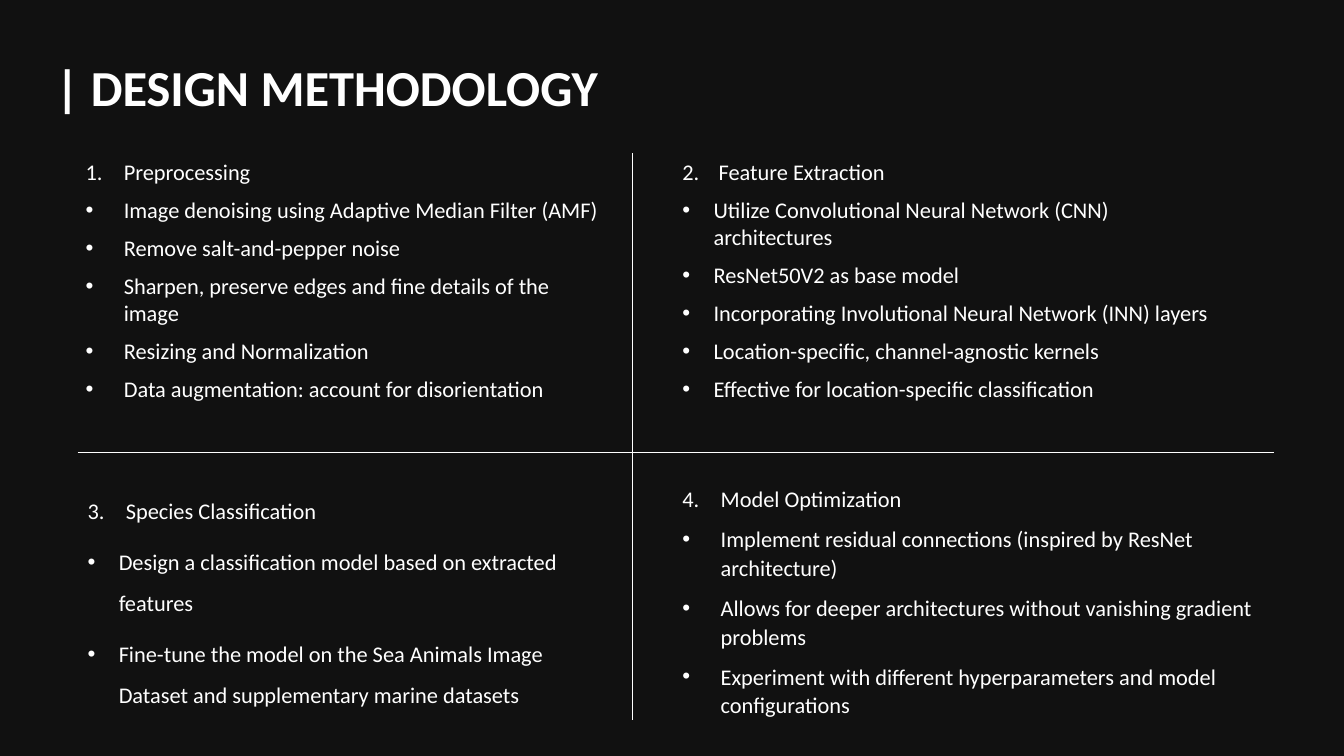
"""Build the design methodology slide: a title over four quadrants of numbered steps."""
from lxml.etree import SubElement
from pptx import Presentation
from pptx.dml.color import RGBColor
from pptx.enum.shapes import MSO_CONNECTOR as Connector
from pptx.enum.text import MSO_ANCHOR as Anchor, MSO_AUTO_SIZE as AutoSize, PP_ALIGN as Align
from pptx.oxml.ns import qn
from pptx.util import Inches, Pt

WIDTH, HEIGHT = 13.33, 7.5
FONT, INK, GROUND = "Calibri", "FFFFFF", "111111"
TITLE = "| DESIGN METHODOLOGY"
LEFT, RIGHT = 0.77, 6.67
TOP, BOTTOM = 1.52, 4.75
DIVIDER_X, DIVIDER_Y = 6.27, 4.49

STEPS = [
    dict(heading="Preprocessing", area=(0.75, TOP, 5.36, 2.55),
         indents=(0.38, 0.38), spacing=1.0,
         points=["Image denoising using Adaptive Median Filter (AMF)",
                 "Remove salt-and-pepper noise",
                 "Sharpen, preserve edges and fine details of the image",
                 "Resizing and Normalization",
                 "Data augmentation: account for disorientation"]),
    dict(heading="Feature Extraction", area=(RIGHT, TOP, 5.57, 2.55),
         indents=(0.36, 0.31), spacing=1.0,
         points=["Utilize Convolutional Neural Network (CNN) architectures",
                 "ResNet50V2 as base model",
                 "Incorporating Involutional Neural Network (INN) layers",
                 "Location-specific, channel-agnostic kernels",
                 "Effective for location-specific classification"]),
    dict(heading="Species Classification", area=(LEFT, BOTTOM, 5.34, 2.3),
         indents=(0.38, 0.31), spacing=1.5,
         points=["Design a classification model based on extracted features",
                 "Fine-tune the model on the Sea Animals Image Dataset "
                 "and supplementary marine datasets"]),
    dict(heading="Model Optimization", area=(RIGHT, BOTTOM, 5.97, 2.44),
         indents=(0.38, 0.38), spacing=1.07,
         points=["Implement residual connections (inspired by ResNet architecture)",
                 "Allows for deeper architectures without vanishing gradient problems",
                 "Experiment with different hyperparameters and model configurations"]),
]
DIVIDERS = [(DIVIDER_X, 7.14, DIVIDER_X, TOP), (LEFT, DIVIDER_Y, 12.64, DIVIDER_Y)]


def color(value):
    return RGBColor.from_string(value)


def add_span(para, text, size, bold=False):
    span = para.add_run()
    span.text = text
    span.font.name, span.font.size, span.font.bold = FONT, Pt(size), bold
    span.font.color.rgb = color(INK)


def add_marker(para, indent, number=None):
    props = para._p.get_or_add_pPr()
    props.set("marL", str(Inches(indent)))
    props.set("indent", str(-Inches(indent)))
    if number:
        SubElement(props, qn("a:buFont"), typeface="+mj-lt")
        SubElement(props, qn("a:buAutoNum"), type="arabicPeriod", startAt=str(number))
    else:
        SubElement(props, qn("a:buFont"), typeface="Arial")
        SubElement(props, qn("a:buChar"), char="•")


def add_step(page, number, step):
    box = page.shapes.add_textbox(*map(Inches, step["area"]))
    frame = box.text_frame
    frame.word_wrap = True
    frame.auto_size = AutoSize.SHAPE_TO_FIT_TEXT
    heading_indent, point_indent = step["indents"]
    lines = [(step["heading"], heading_indent, number)]
    lines += [(point, point_indent, None) for point in step["points"]]
    for index, (text, indent, mark) in enumerate(lines):
        para = frame.add_paragraph() if index else frame.paragraphs[0]
        para.line_spacing = step["spacing"]
        para.space_after = Pt(8)
        add_marker(para, indent, mark)
        add_span(para, text, 16)


def add_title(page):
    title = page.shapes.title
    title.left, title.top, title.width, title.height = map(Inches, (0.45, 0.06, 11.08, 1.59))
    frame = title.text_frame
    frame.word_wrap = True
    frame.auto_size = AutoSize.NONE
    frame.vertical_anchor = Anchor.MIDDLE
    para = frame.paragraphs[0]
    para.alignment = Align.LEFT
    add_span(para, TITLE, 36, bold=True)


def add_divider(page, ends):
    line = page.shapes.add_connector(Connector.STRAIGHT, *map(Inches, ends))
    line.line.color.rgb = color(INK)
    line.line.width = Pt(0.75)
    SubElement(line._element.spPr, qn("a:effectLst"))


def main():
    deck = Presentation()
    deck.slide_width, deck.slide_height = Inches(WIDTH), Inches(HEIGHT)
    page = deck.slides.add_slide(deck.slide_layouts.get_by_name("Title Only"))
    page.background.fill.solid()
    page.background.fill.fore_color.rgb = color(GROUND)
    add_title(page)
    for ends in DIVIDERS:
        add_divider(page, ends)
    for number, step in enumerate(STEPS, start=1):
        add_step(page, number, step)
    deck.save("out.pptx")


if __name__ == "__main__":
    main()
